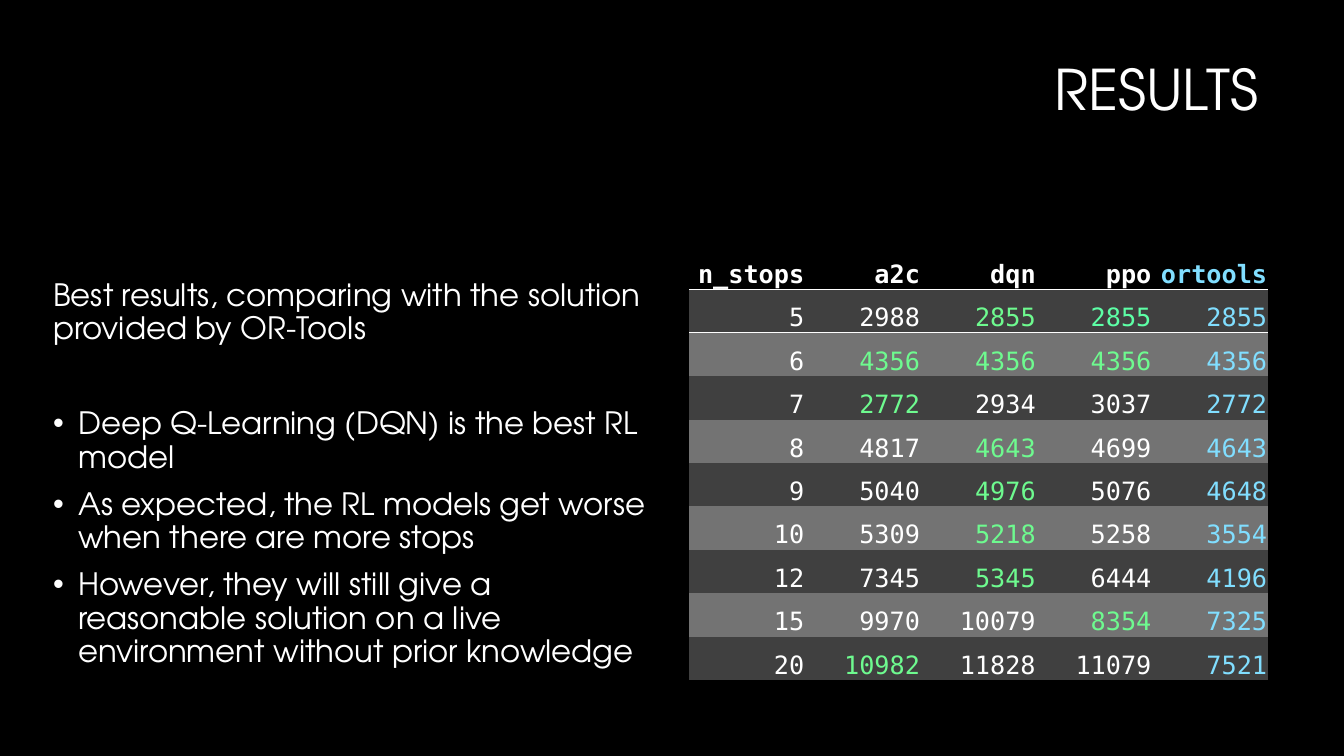
from lxml import etree
from pptx import Presentation
from pptx.dml.color import RGBColor
from pptx.enum import text as t
from pptx.oxml import ns
from pptx.util import Pt

TITLE = "RESULTS"
LEAD = "Best results, comparing with the solution provided by OR-Tools"
POINTS = [
    "Deep Q-Learning (DQN) is the best RL model",
    "As expected, the RL models get worse when there are more stops",
    "However, they will still give a reasonable solution on a live "
    "environment without prior knowledge",
]
HEADS = ["n_stops", "a2c", "dqn", "ppo", "ortools"]
ROWS = [
    (5, 2988, 2855, 2855, 2855),
    (6, 4356, 4356, 4356, 4356),
    (7, 2772, 2934, 3037, 2772),
    (8, 4817, 4643, 4699, 4643),
    (9, 5040, 4976, 5076, 4648),
    (10, 5309, 5218, 5258, 3554),
    (12, 7345, 5345, 6444, 4196),
    (15, 9970, 10079, 8354, 7325),
    (20, 10982, 11828, 11079, 7521),
]

BLACK = RGBColor(0x00, 0x00, 0x00)
WHITE = RGBColor(0xFF, 0xFF, 0xFF)
DARK = RGBColor(0x40, 0x40, 0x40)
GRAY = RGBColor(0x73, 0x73, 0x73)
BLUE = RGBColor(0x81, 0xDE, 0xFF)
GREEN = RGBColor(0x6E, 0xFA, 0x8F)
MINT = RGBColor(0x5D, 0xFF, 0xA6)
SANS, MONO = "TeX Gyre Adventor", "DejaVu Sans Mono"
PLAIN_STYLE = "{2D5ABB26-0587-4C30-8999-92F81FD0307C}"
COL_W, ROW_H = 82.66, 31.03


def style(para, font, size, color, bold=False):
    for run in para.runs:
        run.font.name, run.font.size, run.font.bold = font, Pt(size), bold
        run.font.color.rgb = color


def bullet(para):
    props = para._p.get_or_add_pPr()
    props.set("marL", str(Pt(18)))
    props.set("indent", str(Pt(-18)))
    etree.SubElement(props, ns.qn("a:buFont")).set("typeface", "Arial")
    etree.SubElement(props, ns.qn("a:buChar")).set("char", "•")


def rule(cell, tag):
    """Draw a white line on one edge of a cell; lines come before the fill."""
    line = etree.Element(ns.qn(tag), w=str(Pt(1)))
    fill = etree.SubElement(line, ns.qn("a:solidFill"))
    etree.SubElement(fill, ns.qn("a:srgbClr")).set("val", str(WHITE))
    cell._tc.get_or_add_tcPr().insert(0, line)


def shade(row, col):
    """Blue marks the baseline solver, green the best RL model of a row."""
    if col == len(HEADS) - 1:
        return BLUE
    if row == 0 or col == 0:
        return WHITE
    models = ROWS[row - 1][1:-1]
    if models[col - 1] > min(models):
        return WHITE
    return MINT if (row, HEADS[col]) == (1, "ppo") else GREEN


def add_title(slide):
    title = slide.shapes.title
    title.left, title.top, title.width, title.height = map(
        Pt, (362.88, 15.12, 542.88, 101.52))
    frame = title.text_frame
    frame.text = TITLE
    frame.vertical_anchor = t.MSO_ANCHOR.MIDDLE
    para = frame.paragraphs[0]
    para.alignment, para.line_spacing = t.PP_ALIGN.RIGHT, 0.9
    style(para, SANS, 40, WHITE)


def add_notes(slide):
    box = slide.shapes.add_textbox(Pt(30.96), Pt(196.56), Pt(449.28), Pt(352.08))
    frame = box.text_frame
    frame.word_wrap = True
    frame.text = "\n".join([LEAD] + POINTS)
    for i, para in enumerate(frame.paragraphs):
        para.line_spacing = 0.9
        para.space_before = Pt(44 if i == 1 else 10)
        if i > 0:
            bullet(para)
        style(para, SANS, 22, WHITE)


def add_scores(slide):
    grid = [HEADS] + ROWS
    table = slide.shapes.add_table(
        len(grid), len(HEADS), Pt(492.48), Pt(175.68),
        Pt(COL_W * len(HEADS)), Pt(ROW_H * len(grid))).table
    table.first_row = table.horz_banding = False
    table._tbl.tblPr.find(ns.qn("a:tableStyleId")).text = PLAIN_STYLE
    for col in table.columns:
        col.width = Pt(COL_W)
    for r, values in enumerate(grid):
        table.rows[r].height = Pt(ROW_H)
        for c, value in enumerate(values):
            cell = table.cell(r, c)
            cell.text = str(value)
            cell.margin_left = cell.margin_right = cell.margin_top = Pt(0.72)
            cell.margin_bottom = 0
            cell.vertical_anchor = t.MSO_ANCHOR.BOTTOM
            cell.fill.solid()
            cell.fill.fore_color.rgb = (
                BLACK if r == 0 else DARK if r % 2 else GRAY)
            if r < 2:
                rule(cell, "a:lnT" if r else "a:lnB")
            para = cell.text_frame.paragraphs[0]
            para.alignment = t.PP_ALIGN.RIGHT
            style(para, MONO, 18, shade(r, c), bold=r == 0)


def main():
    deck = Presentation()
    deck.slide_width, deck.slide_height = Pt(960), Pt(540)
    slide = deck.slides.add_slide(deck.slide_layouts[5])
    slide.background.fill.solid()
    slide.background.fill.fore_color.rgb = BLACK
    add_title(slide)
    add_notes(slide)
    add_scores(slide)
    deck.save("out.pptx")


if __name__ == "__main__":
    main()
